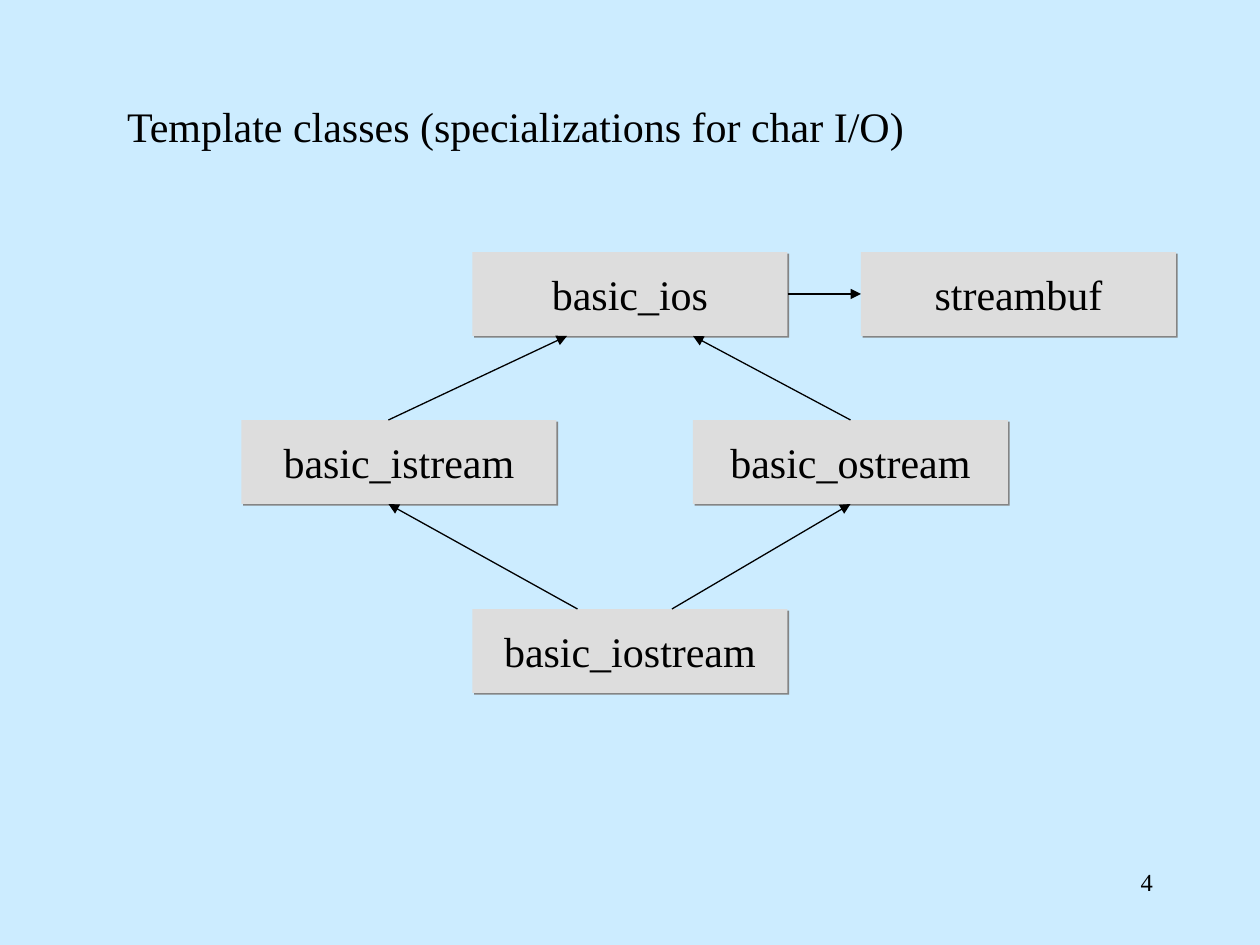
from dataclasses import dataclass

from lxml import etree
from pptx import Presentation, util as u
from pptx.dml.color import RGBColor
from pptx.enum import shapes, text
from pptx.oxml import ns


@dataclass(frozen=True)
class Theme:
    font: str = "Times New Roman"
    background: str = "CCECFF"
    ink: str = "000000"
    panel: str = "DDDDDD"
    shadow: str = "848484"
    body_size: int = 24
    number_size: int = 14
    line_width: float = 0.75


@dataclass(frozen=True)
class Box:
    column: float
    row: float
    columns: float
    rows: float

    def place(self):
        return [grid(n) for n in (self.column, self.row, self.columns, self.rows)]

    def point(self, across, down):
        return grid(self.column + across * self.columns), grid(self.row + down * self.rows)


THEME = Theme()
COLUMNS, ROWS = 120, 90
CELL = u.Inches(10) / COLUMNS
CLASS_COLUMNS, CLASS_ROWS = 30, 8


def grid(cells):
    return u.Emu(round(cells * CELL))


def color(value):
    return RGBColor.from_string(value)


def write(shape, words, size, align, anchor, wrap):
    frame = shape.text_frame
    frame.word_wrap = wrap
    frame.auto_size = text.MSO_AUTO_SIZE.NONE
    frame.vertical_anchor = anchor
    para = frame.paragraphs[0]
    para.alignment = align
    span = para.add_run()
    span.text = words
    span.font.name = THEME.font
    span.font.size = u.Pt(size)
    span.font.color.rgb = color(THEME.ink)


def add_effects(shape):
    return etree.SubElement(shape._element.spPr, ns.qn("a:effectLst"))


def add_title(page, box, words):
    title = page.shapes.title
    title.left, title.top, title.width, title.height = box.place()
    write(title, words, THEME.body_size, text.PP_ALIGN.LEFT, text.MSO_ANCHOR.TOP, False)


def add_class(page, box, name):
    panel = page.shapes.add_shape(shapes.MSO_SHAPE.RECTANGLE, *box.place())
    panel.fill.solid()
    panel.fill.fore_color.rgb = color(THEME.panel)
    panel.line.fill.background()
    shadow = etree.SubElement(add_effects(panel), ns.qn("a:outerShdw"),
                              dist=str(u.Pt(1.4)), dir="2700000", algn="ctr", rotWithShape="0")
    etree.SubElement(shadow, ns.qn("a:srgbClr"), val=THEME.shadow)
    write(panel, name, THEME.body_size, text.PP_ALIGN.CENTER, text.MSO_ANCHOR.MIDDLE, False)


def add_arrow(page, start, end):
    arrow = page.shapes.add_connector(shapes.MSO_CONNECTOR.STRAIGHT, *start, *end)
    arrow.line.width = u.Pt(THEME.line_width)
    arrow.line.color.rgb = color(THEME.ink)
    etree.SubElement(arrow.line._get_or_add_ln(), ns.qn("a:tailEnd"), type="triangle")
    add_effects(arrow)


def add_diagram(page, area):
    places = {
        "basic_ios": (22, 0),
        "basic_istream": (0, 16),
        "basic_ostream": (43, 16),
        "basic_iostream": (22, 34),
        "streambuf": (59, 0),
    }
    boxes = {
        name: Box(area.column + column, area.row + row, CLASS_COLUMNS, CLASS_ROWS)
        for name, (column, row) in places.items()
    }
    for name, box in boxes.items():
        add_class(page, box, name)

    istream_across, ostream_across = 14 / CLASS_COLUMNS, 15 / CLASS_COLUMNS
    arrows = [
        ("basic_istream", (istream_across, 0), "basic_ios", (0.3, 1)),
        ("basic_ostream", (ostream_across, 0), "basic_ios", (0.7, 1)),
        ("basic_iostream", (10 / CLASS_COLUMNS, 0), "basic_istream", (istream_across, 1)),
        ("basic_iostream", (19 / CLASS_COLUMNS, 0), "basic_ostream", (ostream_across, 1)),
        ("basic_ios", (1, 0.5), "streambuf", (0, 0.5)),
    ]
    for source, leaving, target, arriving in arrows:
        add_arrow(page, boxes[source].point(*leaving), boxes[target].point(*arriving))


def add_page_number(page, box, number):
    label = page.shapes.add_textbox(*box.place())
    write(label, number, THEME.number_size, text.PP_ALIGN.RIGHT, text.MSO_ANCHOR.TOP, True)


def main():
    deck = Presentation()
    deck.slide_width, deck.slide_height = grid(COLUMNS), grid(ROWS)
    page = deck.slides.add_slide(deck.slide_layouts.get_by_name("Title Only"))
    page.background.fill.solid()
    page.background.fill.fore_color.rgb = color(THEME.background)
    add_title(page, Box(10.9, 9, 76.7, 6), "Template classes (specializations for char I/O)")
    add_diagram(page, Box(23, 24, 89, 42))
    add_page_number(page, Box(86, 82, 25, 6), "4")
    deck.save("out.pptx")


if __name__ == "__main__":
    main()
